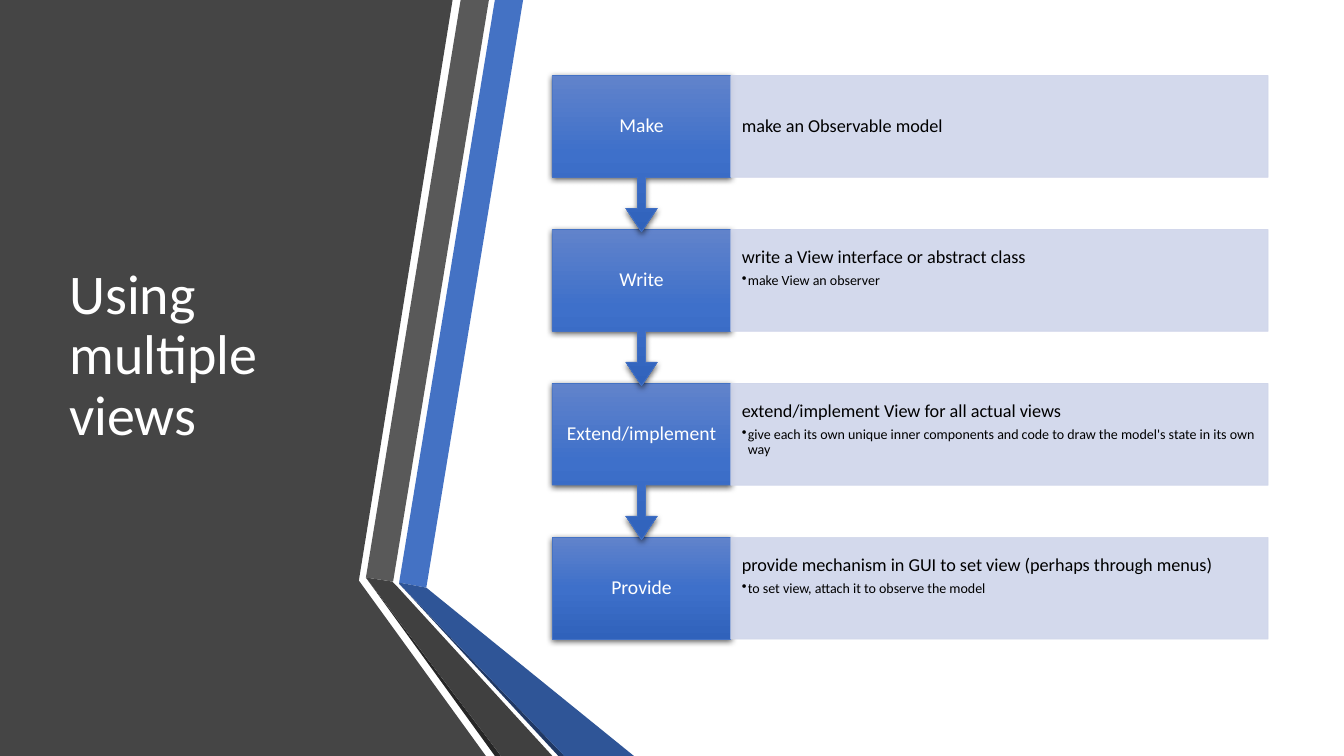
from lxml import etree
from pptx import Presentation
from pptx import util as u
from pptx.dml.color import RGBColor
from pptx.enum import shapes, text
from pptx.oxml import parse_xml
from pptx.oxml.ns import nsdecls, qn

COLORS = {
    "panel": "454545", "blue": "4472C4", "grey": "595959",
    "grey edge": "262626", "blue edge": "203864",
    "blue fold": "2F5597", "grey fold": "404040",
    "pale": "CFD5EA", "white": "FFFFFF", "black": "000000",
    "light step": "6183CB", "middle step": "3E70CA", "dark step": "3062BB",
}

# Outlines in hundredths of an inch, from back to front
RIBBONS = [
    ("panel", [(0, 0), (449, 0), (356, 576), (482, 750), (0, 750)]),
    ("blue", [(396, 578), (423, 583), (519, 0), (491, 0)]),
    ("grey", [(485, 0), (457, 0), (363, 573), (390, 577)]),
    ("grey edge", [(363, 573), (491, 750), (497, 750)]),
    ("blue edge", [(396, 579), (554, 750), (560, 750)]),
    ("blue fold", [(396, 579), (560, 750), (629, 750), (423, 583), (396, 578)]),
    ("grey fold", [(548, 750), (395, 583), (389, 577), (363, 573), (497, 750)]),
]

STEPS = [
    ("Make", "make an Observable model", None),
    ("Write", "write a View interface or abstract class", "make View an observer"),
    ("Extend/implement", "extend/implement View for all actual views",
     "give each its own unique inner components and code to draw the model's state in its own way"),
    ("Provide", "provide mechanism in GUI to set view (perhaps through menus)",
     "to set view, attach it to observe the model"),
]

STEP_LEFT, STEP_WIDTH, DETAIL_WIDTH = u.Inches(5.48), u.Inches(1.77), u.Inches(5.33)
STEP_TOP, STEP_PITCH = u.Inches(0.75), u.Inches(1.527)
STEP_HEIGHT, CALLOUT_HEIGHT = u.Inches(1.01), u.Inches(1.55)

STEP_GRADIENT = f"""<a:gradFill {nsdecls('a')} rotWithShape="1"><a:gsLst>
<a:gs pos="0"><a:srgbClr val="{COLORS['light step']}"/></a:gs>
<a:gs pos="50000"><a:srgbClr val="{COLORS['middle step']}"/></a:gs>
<a:gs pos="100000"><a:srgbClr val="{COLORS['dark step']}"/></a:gs>
</a:gsLst><a:lin ang="5400000" scaled="0"/></a:gradFill>"""
STEP_SHADOW = f"""<a:effectLst {nsdecls('a')}>
<a:outerShdw blurRad="57150" dist="19050" dir="5400000" algn="ctr" rotWithShape="0">
<a:srgbClr val="{COLORS['black']}"><a:alpha val="63000"/></a:srgbClr>
</a:outerShdw></a:effectLst>"""


def write(paragraph, words, size, color, align=text.PP_ALIGN.LEFT):
    paragraph.text = words
    paragraph.alignment = align
    paragraph.line_spacing = 0.9
    paragraph.font.size = u.Pt(size)
    paragraph.font.name = "Calibri"
    paragraph.font.color.rgb = RGBColor.from_string(COLORS[color])


def prepare_frame(shape, inset_x, inset_y, anchor=text.MSO_ANCHOR.MIDDLE):
    frame = shape.text_frame
    frame.word_wrap = True
    frame.vertical_anchor = anchor
    frame.margin_left = frame.margin_right = u.Inches(inset_x)
    frame.margin_top = frame.margin_bottom = u.Inches(inset_y)
    return frame


deck = Presentation()
deck.slide_width, deck.slide_height = u.Inches(13.333), u.Inches(7.5)
page = deck.slides.add_slide(deck.slide_layouts[6])

for color, points in RIBBONS:
    builder = page.shapes.build_freeform(*points[0], scale=u.Inches(0.01))
    builder.add_line_segments(points[1:], close=True)
    ribbon = builder.convert_to_shape()
    ribbon.shadow.inherit = False
    ribbon.fill.solid()
    ribbon.fill.fore_color.rgb = RGBColor.from_string(COLORS[color])
    ribbon.line.fill.background()

title = page.shapes.add_textbox(u.Inches(0.59), u.Inches(0.75), u.Inches(3.04), u.Inches(5.58))
write(prepare_frame(title, 0.1, 0.05).paragraphs[0], "Using multiple views", 40, "white")

# The last step goes to the back, so that each arrow tip lies over the next box
for row, (name, heading, bullet) in reversed(list(enumerate(STEPS))):
    top = STEP_TOP + row * STEP_PITCH
    last = row == len(STEPS) - 1

    step = page.shapes.add_shape(
        shapes.MSO_SHAPE.RECTANGLE if last else shapes.MSO_SHAPE.DOWN_ARROW_CALLOUT,
        STEP_LEFT, top, STEP_WIDTH, STEP_HEIGHT if last else CALLOUT_HEIGHT)
    if not last:
        for index, share in enumerate((0.05, 0.1, 0.15, 0.65)):
            step.adjustments[index] = share
    step.line.color.rgb = RGBColor.from_string(COLORS["blue"])
    step.line.width = u.Pt(0.5)
    outline = step.line._get_or_add_ln()
    outline.addprevious(parse_xml(STEP_GRADIENT))
    outline.addnext(parse_xml(STEP_SHADOW))
    write(prepare_frame(step, 0.13, 0.11).paragraphs[0], name, 14, "white", text.PP_ALIGN.CENTER)

    detail = page.shapes.add_shape(
        shapes.MSO_SHAPE.RECTANGLE, STEP_LEFT + STEP_WIDTH, top, DETAIL_WIDTH, STEP_HEIGHT)
    detail.shadow.inherit = False
    detail.fill.solid()
    detail.fill.fore_color.rgb = RGBColor.from_string(COLORS["pale"])
    detail.line.color.rgb = RGBColor.from_string(COLORS["pale"])
    detail.line.width = u.Pt(0.5)
    for tint in detail._element.spPr.iter(qn("a:srgbClr")):
        etree.SubElement(tint, qn("a:alpha"), val="90000")

    anchor = text.MSO_ANCHOR.TOP if bullet else text.MSO_ANCHOR.MIDDLE
    frame = prepare_frame(detail, 0.11, 0.18, anchor)
    write(frame.paragraphs[0], heading, 13, "black")
    if bullet:
        frame.paragraphs[0].space_after = u.Pt(4.5)
        point = frame.add_paragraph()
        write(point, bullet, 10, "black")
        properties = point._p.get_or_add_pPr()
        properties.set("marL", str(u.Inches(0.06)))
        properties.set("indent", str(-u.Inches(0.06)))
        mark = etree.Element(qn("a:buChar"), char="•")
        properties.find(qn("a:defRPr")).addprevious(mark)

deck.save("out.pptx")
